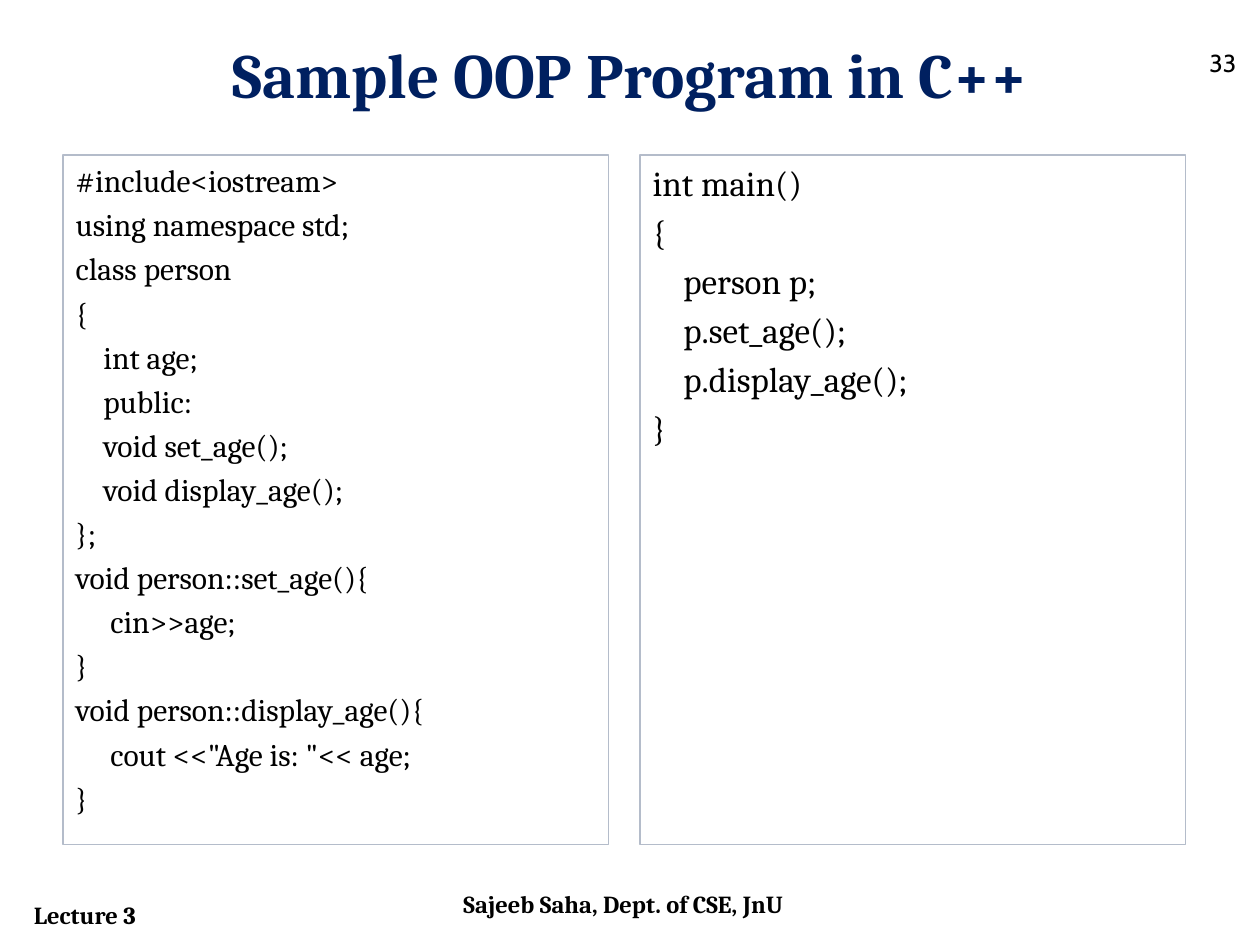
"""Build a two-column code sample slide."""
from dataclasses import dataclass

from lxml import etree
from pptx import Presentation
from pptx.dml.color import RGBColor
from pptx.enum.text import MSO_ANCHOR, MSO_AUTO_SIZE, PP_ALIGN
from pptx.oxml.ns import qn
from pptx.util import Inches, Pt

TOP = MSO_ANCHOR.TOP
FIXED = MSO_AUTO_SIZE.NONE
LEFT = PP_ALIGN.LEFT
CENTER = PP_ALIGN.CENTER
TWO_CONTENT = 3
BLACK, NAVY, BORDER = "000000", "002060", "B4BCCA"
SPACE_EM = 0.22
COLUMN_LEFT, COLUMN_STEP = 0.5, 4.58
COLUMN_TOP, COLUMN_WIDTH, COLUMN_HEIGHT = 1.23, 4.33, 5.47

CLASS_CODE = """#include<iostream>
using namespace std;
class person
{
    int age;
    public:
    void set_age();
    void display_age();
};
void person::set_age(){
     cin>>age;
}
void person::display_age(){
     cout <<"Age is: "<< age;
}"""

MAIN_CODE = """int main()
{
    person p;
    p.set_age();
    p.display_age();
}"""


@dataclass(frozen=True)
class CodePanel:
    """A code listing in one column of the page."""
    column: int
    code: str
    size: int


@dataclass(frozen=True)
class Label:
    """A single line of text with its place in inches."""
    text: str
    left: float
    top: float
    width: float
    height: float
    size: int = 14
    font: str = "Cambria"
    color: str = BLACK
    bold: bool = True


PANELS = [CodePanel(0, CLASS_CODE, 18), CodePanel(1, MAIN_CODE, 20)]
TITLE = Label("Sample OOP Program in C++", 0.5, 0.23, 9, 0.68, 36, color=NAVY)
LABELS = [
    Label("Lecture 3", 0.17, 7.09, 2, 0.34),
    Label("Sajeeb Saha, Dept. of CSE, JnU", 3.58, 7.01, 2.83, 0.4),
    Label("33", 9.5, 0.33, 0.42, 0.4, font="Cabin", bold=False),
]


def rgb(color: str) -> RGBColor:
    """Turn a hex string into a colour."""
    return RGBColor.from_string(color)


def place(box, left: float, top: float, width: float, height: float) -> None:
    """Move and size a box, and fix how its text sits."""
    box.left, box.top = Inches(left), Inches(top)
    box.width, box.height = Inches(width), Inches(height)
    frame = box.text_frame
    frame.auto_size = FIXED
    frame.word_wrap = True
    frame.vertical_anchor = TOP


def format_text(para, size: int, font: str, color: str, bold: bool) -> None:
    """Format every run of a paragraph."""
    for span in para.runs:
        span.font.size = Pt(size)
        span.font.name = font
        span.font.bold = bold
        span.font.color.rgb = rgb(color)


def write_label(box, label: Label, align) -> None:
    """Place a one-line text in a box."""
    place(box, label.left, label.top, label.width, label.height)
    box.text_frame.text = label.text
    para = box.text_frame.paragraphs[0]
    para.alignment = align
    format_text(para, label.size, label.font, label.color, label.bold)


def write_panel(box, panel: CodePanel) -> None:
    """Fill a bordered column with indented code lines."""
    place(box, COLUMN_LEFT + panel.column * COLUMN_STEP, COLUMN_TOP,
          COLUMN_WIDTH, COLUMN_HEIGHT)
    box.line.color.rgb = rgb(BORDER)
    box.line.width = Pt(0.75)
    lines = panel.code.splitlines()
    box.text_frame.text = "\n".join(line.strip() for line in lines)
    for para, line in zip(box.text_frame.paragraphs, lines):
        depth = len(line) - len(line.lstrip())
        para.space_before = Pt(panel.size * 0.2)
        properties = para._p.get_or_add_pPr()
        properties.set("marL", str(Pt(depth * SPACE_EM * panel.size)))
        properties.set("indent", "0")
        etree.SubElement(properties, qn("a:buNone"))
        format_text(para, panel.size, "Cambria", BLACK, False)


def main() -> None:
    """Build and save the deck."""
    deck = Presentation()
    deck.slide_width, deck.slide_height = Inches(10), Inches(7.5)
    page = deck.slides.add_slide(deck.slide_layouts[TWO_CONTENT])
    write_label(page.shapes.title, TITLE, CENTER)
    for panel in PANELS:
        write_panel(page.placeholders[panel.column + 1], panel)
    for label in LABELS:
        write_label(page.shapes.add_textbox(0, 0, 0, 0), label, LEFT)
    deck.save("out.pptx")


if __name__ == "__main__":
    main()
